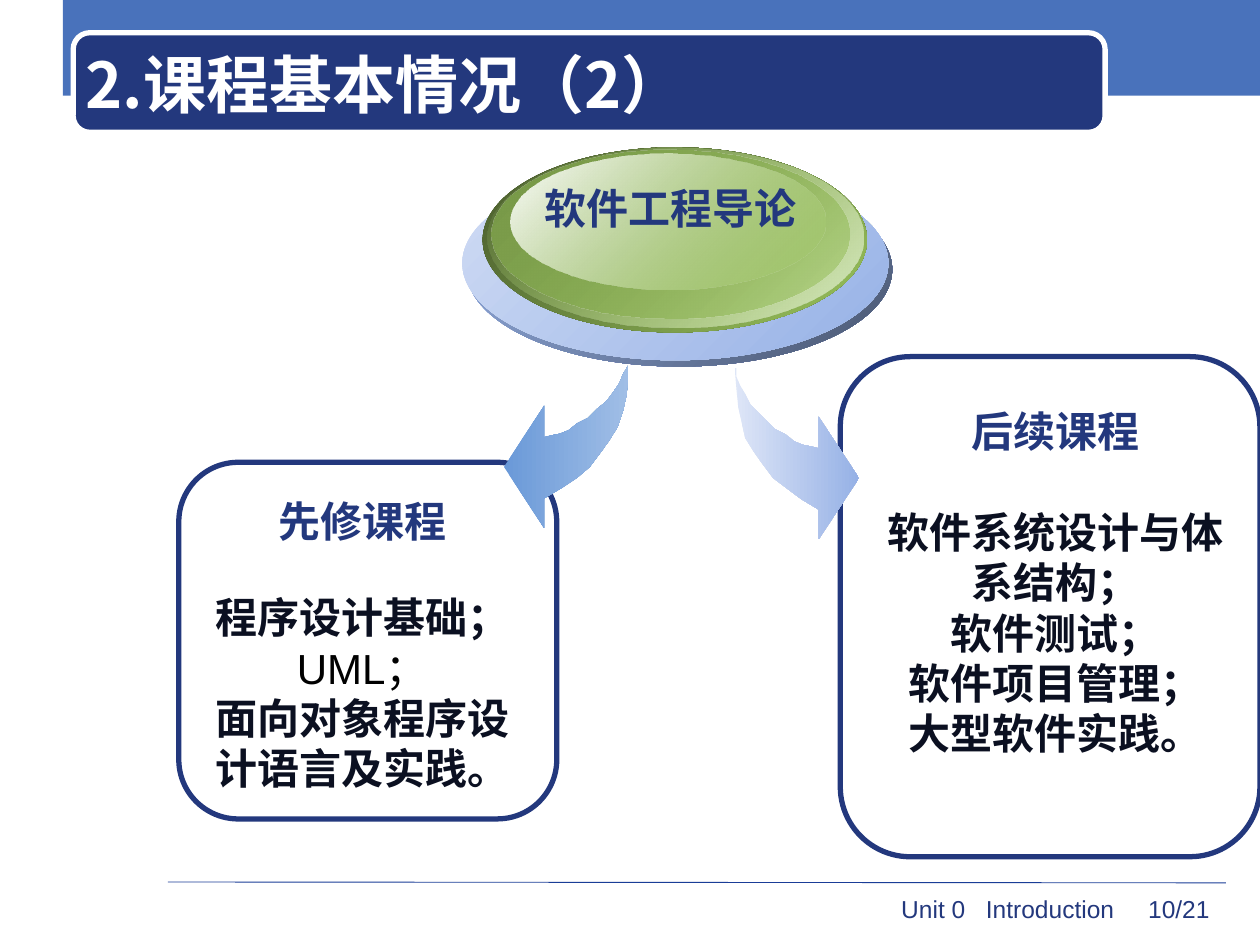
"""Build the course overview slide with prerequisite and follow-up courses."""
from lxml import etree
from pptx import Presentation
from pptx.dml.color import RGBColor
from pptx.enum import shapes, text
from pptx.oxml import ns
from pptx.util import Pt

COLORS = {
    "navy": "23387D", "band": "4972BB", "rule": "1A3D97", "white": "FFFFFF",
    "ink": "0B1021", "black": "000000", "sky": "6A99D8", "pale_sky": "A0BEE6",
    "blue": "96B1E6", "slate": "495670", "ice": "D0DCF4", "mist": "DEE6F7",
    "moss": "475A2B", "green": "99C25C", "lime": "DBEAC6", "olive": "799A49",
}
RGB = {name: RGBColor.from_string(value) for name, value in COLORS.items()}
CJK = "Noto Sans CJK SC"


def write(para, words, size, color, bold=True, font="Arial"):
    span = para.add_run()
    span.text = words
    span.font.name = font
    span.font.size = Pt(size)
    span.font.bold = bold
    span.font.color.rgb = RGB[color]
    asian = etree.SubElement(span.font._element, ns.qn("a:ea"))
    asian.set("typeface", CJK)


def shade(shape, stops, angle):
    shape.shadow.inherit = False
    shape.line.fill.background()
    shape.fill.gradient()
    shape.fill.gradient_angle = angle
    for stop, (color, position, opacity) in zip(shape.fill.gradient_stops, stops):
        stop.color.rgb = RGB[color]
        stop.position = position
        if opacity < 100:
            node = list(shape.element.iter(ns.qn("a:srgbClr")))[int(position)]
            etree.SubElement(node, ns.qn("a:alpha")).set("val", str(opacity * 1000))


deck = Presentation()
deck.slide_width, deck.slide_height = Pt(720), Pt(540)
page = deck.slides.add_slide(deck.slide_layouts[6])
kinds = shapes.MSO_SHAPE

band = page.shapes.add_shape(kinds.RECTANGLE, Pt(36), Pt(0), Pt(684), Pt(54.7))
band.shadow.inherit = False
band.fill.solid()
band.fill.fore_color.rgb = RGB["band"]
band.line.fill.background()

rule = page.shapes.add_connector(
    shapes.MSO_CONNECTOR.STRAIGHT, Pt(96), Pt(504), Pt(700.5), Pt(504.5))
rule.line.color.rgb = RGB["rule"]
rule.line.width = Pt(0.5)
etree.SubElement(rule.element.spPr, ns.qn("a:effectLst"))

plate = page.shapes.add_shape(
    kinds.ROUNDED_RECTANGLE, Pt(41.8), Pt(18.7), Pt(589.7), Pt(56.9))
plate.shadow.inherit = False
plate.fill.solid()
plate.fill.fore_color.rgb = RGB["navy"]
plate.line.color.rgb = RGB["white"]
plate.line.width = Pt(3)

footer = page.shapes.add_textbox(Pt(504), Pt(507.6), Pt(203.8), Pt(41)).text_frame
footer.word_wrap = True
footer.margin_left = Pt(11)
para = footer.paragraphs[0]
tabs = etree.SubElement(para._p.get_or_add_pPr(), ns.qn("a:tabLst"))
for place in (48.4, 141.1):
    etree.SubElement(tabs, ns.qn("a:tab"), pos=str(Pt(place)), algn="l")
write(para, "Unit 0\tIntroduction\t10/21", 14, "navy", bold=False)

title = page.shapes.add_textbox(Pt(41.8), Pt(25.2), Pt(563.8), Pt(44.6)).text_frame
title.word_wrap = True
title.vertical_anchor = text.MSO_ANCHOR.MIDDLE
write(title.paragraphs[0], "2.课程基本情况（2）", 36, "white", font=CJK)

arrow_points = [
    (71.3, 0), (70.6, 11.5), (69.8, 21.6), (67.7, 31), (64.8, 39.6), (60.5, 48.2),
    (55.4, 55.4), (49, 62.6), (41.8, 69.1), (33.1, 74.9), (23, 80.6), (23, 97.9),
    (0, 63.4), (23, 28.1), (23, 46.1), (27.4, 45.4), (32.4, 43.9), (37.4, 41.8),
    (42.5, 38.2), (48.2, 34.6), (53.3, 30.2), (57.6, 25.9), (61.9, 20.9),
    (65.5, 15.1), (68.4, 10.1), (70.6, 5), (70.6, 0),
]
dish = [
    (266.4, 98.6, 243.4, 110.9, ("blue", 100), ("slate", 100)),
    (264.2, 95, 243.4, 110.9, ("ice", 100), ("blue", 100)),
    (275.8, 84.2, 219.6, 105.8, ("moss", 100), ("green", 100)),
    (278.6, 84.2, 214.6, 103, ("green", 0), ("lime", 100)),
    (280.8, 85.7, 204.5, 96.5, ("olive", 100), ("green", 48)),
    (291.6, 87.8, 180, 77.8, ("white", 100), ("green", 38)),
]
courses = [
    {"frame": (102.2, 264.2, 216, 203.8), "label": (110.9, 279.4, 192.2, 177.8),
     "heading": "先修课程", "gap": 26.4,
     "items": ["程序设计基础；", "UML；", "面向对象程序设计语言及实践。"],
     "arrow": (288, 203.8), "mirror": False, "shades": ("sky", "pale_sky")},
    {"frame": (480.2, 203.8, 239.8, 285.8), "label": (496.1, 228.2, 213.8, 237.6),
     "heading": "后续课程", "gap": 28.8,
     "items": ["软件系统设计与体系结构；", "软件测试；", "软件项目管理；", "大型软件实践。"],
     "arrow": (419.8, 210.2), "mirror": True, "shades": ("mist", "blue")},
]

for course in courses:
    frame = page.shapes.add_shape(kinds.ROUNDED_RECTANGLE, *map(Pt, course["frame"]))
    frame.shadow.inherit = False
    frame.fill.background()
    frame.line.color.rgb = RGB["navy"]
    frame.line.width = Pt(3)

    label = page.shapes.add_textbox(*map(Pt, course["label"])).text_frame
    label.word_wrap = True
    for index, words in enumerate([course["heading"], *course["items"]]):
        para = label.add_paragraph() if index else label.paragraphs[0]
        para.alignment = text.PP_ALIGN.CENTER
        para.line_spacing = Pt(28.8)
        if index == 1:
            para.space_before = Pt(course["gap"])
        plain = words == "UML；"
        color = "black" if plain else "ink" if index else "navy"
        write(para, words, 24, color, bold=not plain)

    points = [(71.3 - x if course["mirror"] else x, y) for x, y in arrow_points]
    outline = page.shapes.build_freeform(*points[0], scale=Pt(1))
    outline.add_line_segments(points[1:], close=True)
    arrow = outline.convert_to_shape(*map(Pt, course["arrow"]))
    start, end = course["shades"]
    shade(arrow, [(start, 0, 100), (end, 1, 100)], 0)

    if not course["mirror"]:
        for left, top, width, height, near, far in dish:
            oval = page.shapes.add_shape(
                kinds.OVAL, Pt(left), Pt(top), Pt(width), Pt(height))
            shade(oval, [(near[0], 0, near[1]), (far[0], 1, far[1])], 315)
        subject = page.shapes.add_textbox(
            Pt(300.2), Pt(100.8), Pt(165.6), Pt(36)).text_frame
        subject.word_wrap = True
        para = subject.paragraphs[0]
        para.alignment = text.PP_ALIGN.CENTER
        para.line_spacing = Pt(28.8)
        write(para, "软件工程导论", 24, "navy")

deck.save("out.pptx")
